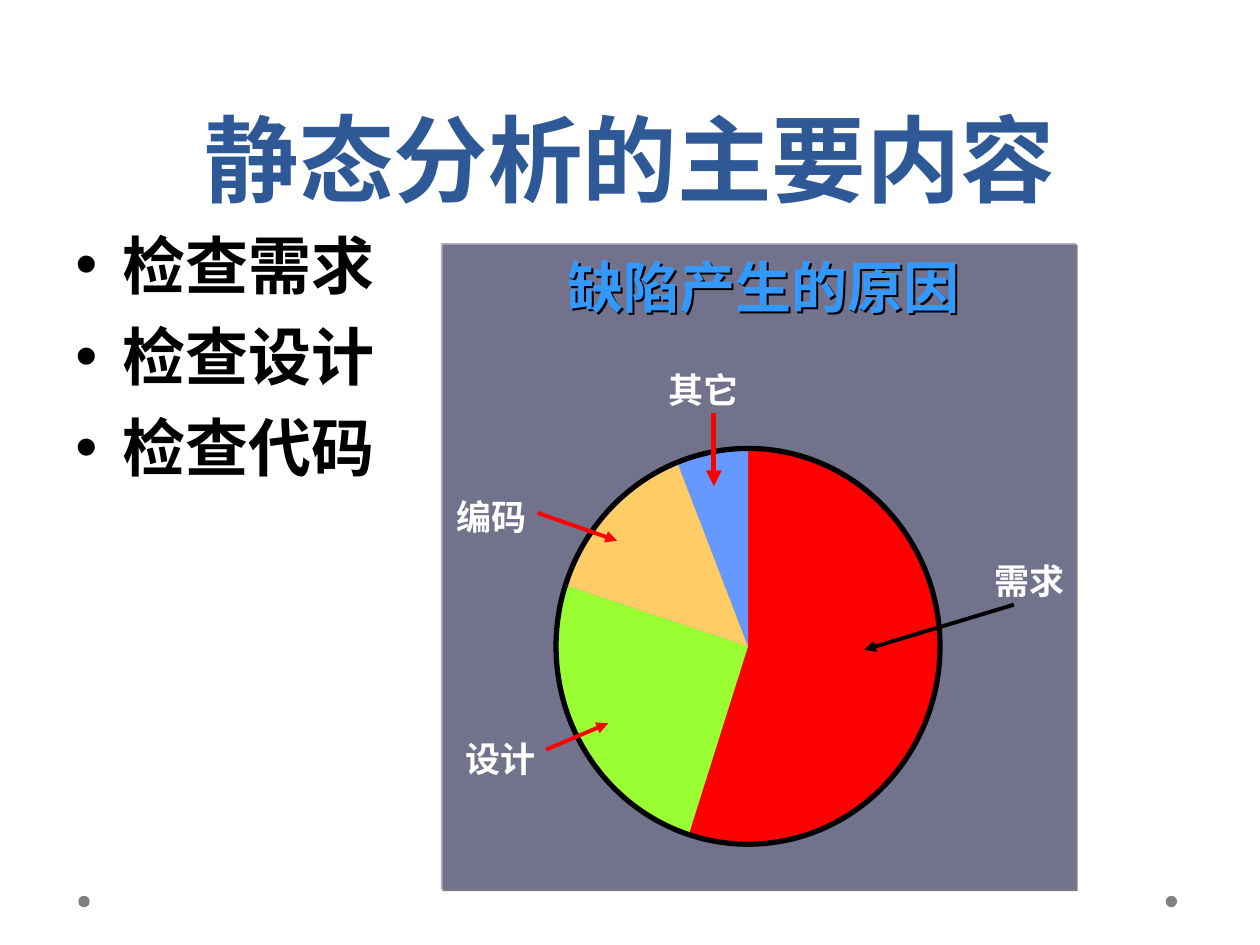
import copy
import math
from dataclasses import dataclass

from pptx import Presentation
from pptx.dml.color import RGBColor
from pptx.enum import shapes, text
from pptx.oxml import parse_xml
from pptx.oxml.ns import nsdecls, qn
from pptx.util import Cm, Pt


@dataclass(frozen=True)
class Theme:
    title: str = "2F5897"
    body: str = "000000"
    dot: str = "808080"
    panel: str = "666699"
    caption: str = "3399FF"
    label: str = "FFFFFF"
    red: str = "FF0000"
    black: str = "000000"
    main: str = "Roboto"
    narrow: str = "Arial Narrow"
    title_pt: int = 54
    body_pt: int = 36
    caption_pt: int = 32
    label_pt: int = 20


@dataclass(frozen=True)
class Box:
    left: float
    top: float
    width: float
    height: float

    def emu(self) -> tuple:
        return Cm(self.left), Cm(self.top), Cm(self.width), Cm(self.height)


@dataclass(frozen=True)
class Arrow:
    start: tuple[float, float]
    end: tuple[float, float]
    color: str
    width: float = 2.25


@dataclass(frozen=True)
class Cause:
    name: str
    share: float
    color: str
    label: tuple[float, float]
    arrow: Arrow


THEME = Theme()
PIE = Box(11.21, 9.04, 7.74, 7.98)
CAUSES = [
    Cause("需求", 0.55, "FF0000", (20.05, 11.15),
          Arrow((20.44, 12.19), (17.42, 13.1), THEME.black)),
    Cause("设计", 0.25, "99FF33", (9.39, 14.73),
          Arrow((11.01, 15.11), (12.26, 14.58), THEME.red)),
    Cause("编码", 0.14, "FFCC66", (9.21, 9.86),
          Arrow((10.84, 10.34), (12.44, 10.9), THEME.red)),
    Cause("其它", 0.06, "6699FF", (13.48, 7.29),
          Arrow((14.39, 8.33), (14.39, 9.8), THEME.red, 3)),
]
CHECKS = ["检查需求", "检查设计", "检查代码"]


def rgb(color: str) -> RGBColor:
    return RGBColor.from_string(color)


def cast(shape) -> None:
    """Give a shape a thin black shadow to the lower right."""
    shape.shadow.inherit = False
    glow = parse_xml(f'<a:outerShdw {nsdecls("a")} dist="{Pt(1.4)}" dir="2700000">'
                     f'<a:srgbClr val="{THEME.black}"/></a:outerShdw>')
    shape._element.spPr.find(qn("a:effectLst")).append(glow)


def paint(shape, color: str) -> None:
    shape.shadow.inherit = False
    shape.fill.solid()
    shape.fill.fore_color.rgb = rgb(color)
    shape.line.fill.background()


def write(slide, box: Box, lines: list[str], size: int, color: str, font: str,
          align=text.PP_ALIGN.CENTER, pad=(0.25, 0.13), wrap: bool = True):
    """Add a text box with one bold paragraph per line."""
    shape = slide.shapes.add_textbox(*box.emu())
    frame = shape.text_frame
    frame.word_wrap = wrap
    frame.margin_left = frame.margin_right = Cm(pad[0])
    frame.margin_top = frame.margin_bottom = Cm(pad[1])
    frame.text = "\n".join(lines)
    for para in frame.paragraphs:
        para.alignment = align
        for run in para.runs:
            run.font.size = Pt(size)
            run.font.bold = True
            run.font.color.rgb = rgb(color)
            run.font.name = font
    return shape


def add_title(slide) -> None:
    frame = write(slide, Box(1.27, 0, 22.86, 4.45), ["静态分析的主要内容"],
                  THEME.title_pt, THEME.title, THEME.main).text_frame
    frame.vertical_anchor = text.MSO_ANCHOR.BOTTOM
    frame.paragraphs[0].line_spacing = Pt(58)


def add_checks(slide) -> None:
    frame = write(slide, Box(1.27, 4.43, 22.86, 12.57), CHECKS, THEME.body_pt,
                  THEME.body, THEME.main, text.PP_ALIGN.LEFT).text_frame
    for i, para in enumerate(frame.paragraphs):
        para.space_before = Pt(9 if i else 0)
        props = para._p.get_or_add_pPr()
        props.set("marL", str(Cm(0.95)))
        props.set("indent", str(-Cm(0.95)))
        props.append(parse_xml(f'<a:buFont {nsdecls("a")} typeface="Arial"/>'))
        props.append(parse_xml(f'<a:buChar {nsdecls("a")} char="•"/>'))


def add_panel(slide) -> None:
    panel = slide.shapes.add_shape(shapes.MSO_SHAPE.RECTANGLE,
                                   *Box(8.89, 4.9, 12.8, 13.03).emu())
    paint(panel, THEME.panel)
    tint = panel._element.spPr.find(qn("a:solidFill"))[0]
    tint.append(parse_xml(f'<a:alpha {nsdecls("a")} val="50000"/>'))
    cast(panel)


def spot(turn: float) -> tuple[int, int]:
    """Find the rim point at a share of a full turn, clockwise from the top."""
    rx, ry = PIE.width / 2, PIE.height / 2
    angle = 2 * math.pi * turn
    return (Cm(PIE.left + rx + rx * math.sin(angle)),
            Cm(PIE.top + ry - ry * math.cos(angle)))


def curve(start: float, end: float, left: int, top: int):
    """Make the Bézier arc between two shares, relative to a corner."""
    pull = 4 / 3 * math.tan(math.pi * (end - start) / 2)
    points = []
    for turn, sign in ((start, 1), (end, -1)):
        x, y = spot(turn)
        angle = 2 * math.pi * turn
        points.append((x + sign * pull * Cm(PIE.width / 2) * math.cos(angle),
                       y + sign * pull * Cm(PIE.height / 2) * math.sin(angle)))
    points.append(spot(end))
    dots = "".join(f'<a:pt x="{round(x - left)}" y="{round(y - top)}"/>' for x, y in points)
    return parse_xml(f'<a:cubicBezTo {nsdecls("a")}>{dots}</a:cubicBezTo>')


def add_slice(slide, first: float, last: float, color: str) -> None:
    """Draw a filled wedge whose outer arc alone is outlined."""
    turns = [first, *(q for q in (0.25, 0.5, 0.75) if first < q < last), last]
    hub = (Cm(PIE.left + PIE.width / 2), Cm(PIE.top + PIE.height / 2))
    form = slide.shapes.build_freeform(*spot(first))
    form.add_line_segments([*map(spot, turns[1:]), hub], close=True)
    shape = form.convert_to_shape()
    paint(shape, color)
    shape.line.color.rgb = rgb(THEME.black)
    shape.line.width = Pt(3)
    wedge = next(shape._element.iter(qn("a:path")))
    sides = wedge.findall(qn("a:lnTo"))
    for side, start, end in zip(sides, turns, turns[1:]):
        wedge.replace(side, curve(start, end, shape.left, shape.top))
    arc = copy.deepcopy(wedge)
    for part in list(arc)[-2:]:
        arc.remove(part)
    arc.set("fill", "none")
    wedge.set("stroke", "0")
    wedge.addprevious(arc)


def add_arrow(slide, arrow: Arrow) -> None:
    ends = [Cm(v) for v in (*arrow.start, *arrow.end)]
    line = slide.shapes.add_connector(shapes.MSO_CONNECTOR.STRAIGHT, *ends)
    line.line.color.rgb = rgb(arrow.color)
    line.line.width = Pt(arrow.width)
    line.line._get_or_add_ln().append(
        parse_xml(f'<a:tailEnd {nsdecls("a")} type="triangle"/>'))
    line._element.spPr.append(parse_xml(f'<a:effectLst {nsdecls("a")}/>'))


def main() -> None:
    deck = Presentation()
    deck.slide_width, deck.slide_height = Cm(25.4), Cm(19.05)
    slide = deck.slides.add_slide(deck.slide_layouts[6])
    for left in (23.5, 1.58):
        dot = slide.shapes.add_shape(shapes.MSO_SHAPE.OVAL,
                                     *Box(left, 18.06, 0.23, 0.23).emu())
        paint(dot, THEME.dot)
    add_title(slide)
    add_checks(slide)
    add_panel(slide)
    done = 0.0
    for cause in CAUSES:
        add_slice(slide, done, done + cause.share, cause.color)
        done += cause.share
    for cause in CAUSES:
        write(slide, Box(*cause.label, 1.42, 1.12), [cause.name], THEME.label_pt,
              THEME.label, THEME.narrow, pad=(0, 0.13), wrap=False)
    for cause in CAUSES:
        add_arrow(slide, cause.arrow)
    caption = write(slide, Box(10.15, 4.72, 10.49, 2.41), ["缺陷产生的原因"],
                    THEME.caption_pt, THEME.caption, THEME.narrow, pad=(0.64, 0.64))
    caption.text_frame.paragraphs[0].line_spacing = 0.85
    cast(caption)
    deck.save("out.pptx")


if __name__ == "__main__":
    main()
